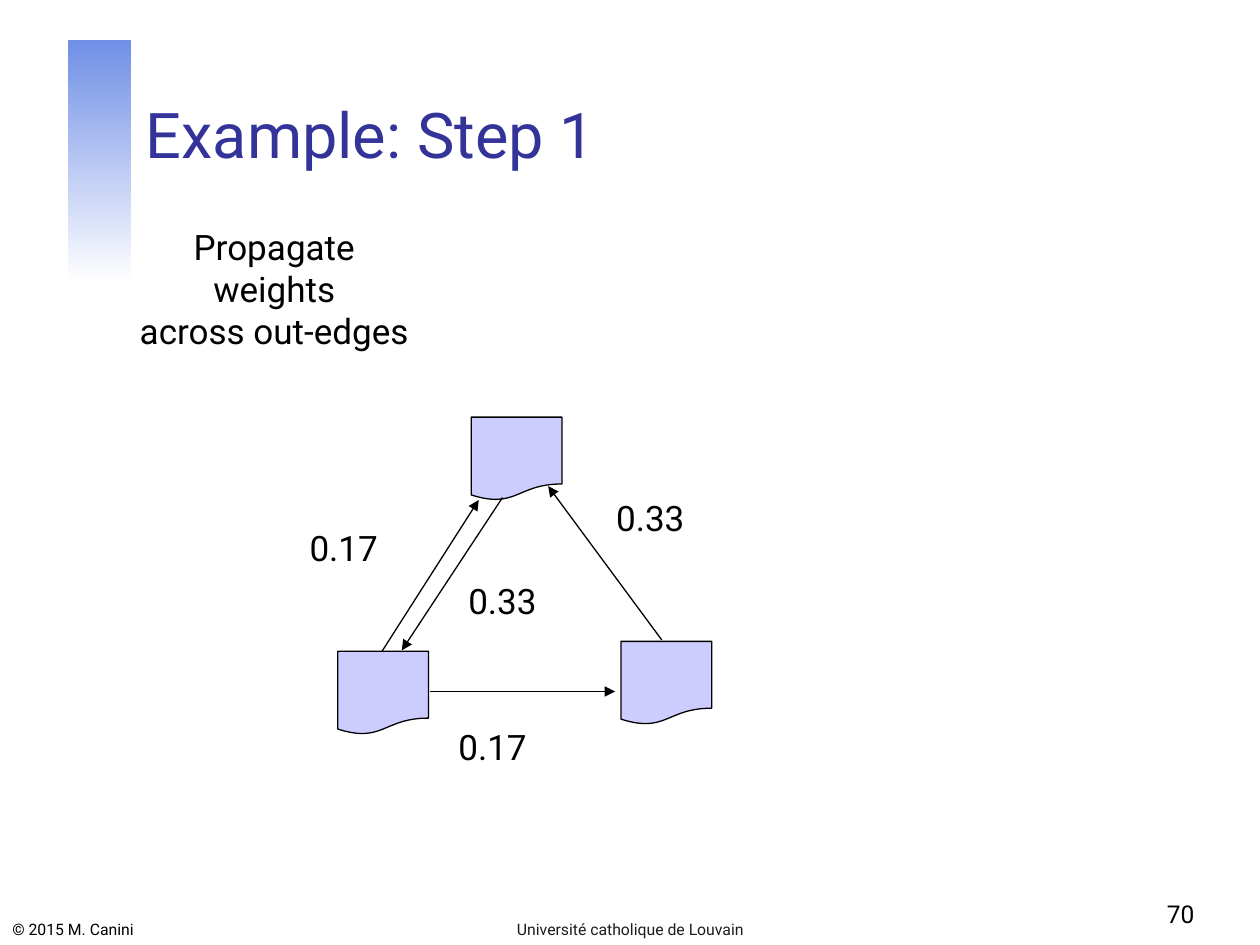
from dataclasses import dataclass

from lxml.etree import SubElement
from pptx import Presentation
from pptx.dml.color import RGBColor as Rgb
from pptx.enum.shapes import MSO_CONNECTOR as Connector, MSO_SHAPE as Shape
from pptx.enum.text import MSO_ANCHOR as Anchor, PP_ALIGN as Align
from pptx.oxml.ns import qn
from pptx.slide import Slide
from pptx.util import Cm, Pt


@dataclass(frozen=True)
class Theme:
    font: str = "Roboto"
    black: Rgb = Rgb(0x00, 0x00, 0x00)
    white: Rgb = Rgb(0xFF, 0xFF, 0xFF)
    title: Rgb = Rgb(0x33, 0x33, 0x99)
    footer: Rgb = Rgb(0x1C, 0x1C, 0x1C)
    node: Rgb = Rgb(0xCC, 0xCC, 0xFF)
    bar: Rgb = Rgb(0x70, 0x8F, 0xE6)
    title_size: float = 36
    body_size: float = 20
    number_size: float = 14
    footer_size: float = 9
    line_width: float = 0.75


THEME = Theme()
NODE_WIDTH, NODE_HEIGHT = 1.83, 1.68
LABEL_WIDTH, LABEL_HEIGHT = 1.98, 1.27


@dataclass(frozen=True)
class Node:
    """A web page in the graph, placed in centimetres."""
    left: float
    top: float


@dataclass(frozen=True)
class Edge:
    """A link with its weight and the corner of its label, in centimetres."""
    start: tuple[float, float]
    end: tuple[float, float]
    weight: str
    label: tuple[float, float]


@dataclass(frozen=True)
class Caption:
    text: str
    left: float
    top: float
    width: float
    height: float
    size: float = THEME.body_size
    color: Rgb = THEME.black
    align: Align = Align.CENTER
    anchor: Anchor = Anchor.TOP
    wrap: bool = True
    side_inset: float = 0.25


NODES = [Node(9.5, 8.41), Node(6.81, 13.13), Node(12.52, 12.93)]

EDGES = [
    Edge((7.7, 13.13), (9.65, 10.08), "0.17", (5.94, 10.49)),
    Edge((13.34, 12.9), (11.05, 9.8), "0.33", (12.12, 9.88)),
    Edge((10.13, 10.03), (8.1, 13.11), "0.33", (9.14, 11.56)),
    Edge((8.66, 13.94), (12.4, 13.94), "0.17", (8.94, 14.5)),
]

CAPTIONS = [
    Caption("Example: Step 1", 2.69, 0.84, 21.64, 2.74, THEME.title_size,
            THEME.title, Align.LEFT, Anchor.BOTTOM),
    Caption("Propagate weights\vacross out-edges", 2.57, 4.42, 5.92, 2.8,
            side_inset=0.12),
    Caption("© 2015 M. Canini", 0, 18.34, 7.67, 0.71, THEME.footer_size,
            align=Align.LEFT, anchor=Anchor.BOTTOM),
    Caption("Université catholique de Louvain", 8.69, 18.34, 8.03, 0.71,
            THEME.footer_size, THEME.footer, anchor=Anchor.BOTTOM),
    Caption("70", 19.05, 17.58, 5.28, 1.27, THEME.number_size,
            align=Align.RIGHT, anchor=Anchor.BOTTOM),
]


def draw_bar(page: Slide) -> None:
    bar = page.shapes.add_shape(Shape.RECTANGLE, Cm(1.37), Cm(0.81), Cm(1.27), Cm(4.9))
    bar.shadow.inherit = False
    bar.line.fill.background()
    bar.fill.gradient()
    bar.fill.gradient_angle = 270
    for stop, color in zip(bar.fill.gradient_stops, (THEME.bar, THEME.white)):
        stop.color.rgb = color


def draw_caption(page: Slide, caption: Caption) -> None:
    box = page.shapes.add_textbox(Cm(caption.left), Cm(caption.top),
                                  Cm(caption.width), Cm(caption.height))
    frame = box.text_frame
    frame.word_wrap = caption.wrap
    frame.vertical_anchor = caption.anchor
    frame.margin_left = frame.margin_right = Cm(caption.side_inset)
    para = frame.paragraphs[0]
    para.alignment = caption.align
    for index, line in enumerate(caption.text.split("\v")):
        if index:
            para.add_line_break()
        span = para.add_run()
        span.text = line
        span.font.name = THEME.font
        span.font.size = Pt(caption.size)
        span.font.color.rgb = caption.color


def draw_node(page: Slide, node: Node) -> None:
    document = page.shapes.add_shape(Shape.FLOWCHART_DOCUMENT, Cm(node.left), Cm(node.top),
                                     Cm(NODE_WIDTH), Cm(NODE_HEIGHT))
    document.shadow.inherit = False
    document.fill.solid()
    document.fill.fore_color.rgb = THEME.node
    document.line.color.rgb = THEME.black
    document.line.width = Pt(THEME.line_width)


def draw_edge(page: Slide, edge: Edge) -> None:
    arrow = page.shapes.add_connector(Connector.STRAIGHT, *map(Cm, edge.start + edge.end))
    arrow.line.color.rgb = THEME.black
    arrow.line.width = Pt(THEME.line_width)
    SubElement(arrow.line._get_or_add_ln(), qn("a:tailEnd"), type="triangle")
    SubElement(arrow._element.spPr, qn("a:effectLst"))
    draw_caption(page, Caption(edge.weight, *edge.label, LABEL_WIDTH, LABEL_HEIGHT, wrap=False))


def main() -> None:
    deck = Presentation()
    deck.slide_width, deck.slide_height = Cm(25.4), Cm(19.05)
    page = deck.slides.add_slide(deck.slide_layouts[6])

    # Decoration, title, note and footer
    draw_bar(page)
    for caption in CAPTIONS:
        draw_caption(page, caption)

    # Weighted graph
    for node in NODES:
        draw_node(page, node)
    for edge in EDGES:
        draw_edge(page, edge)

    deck.save("out.pptx")


if __name__ == "__main__":
    main()
